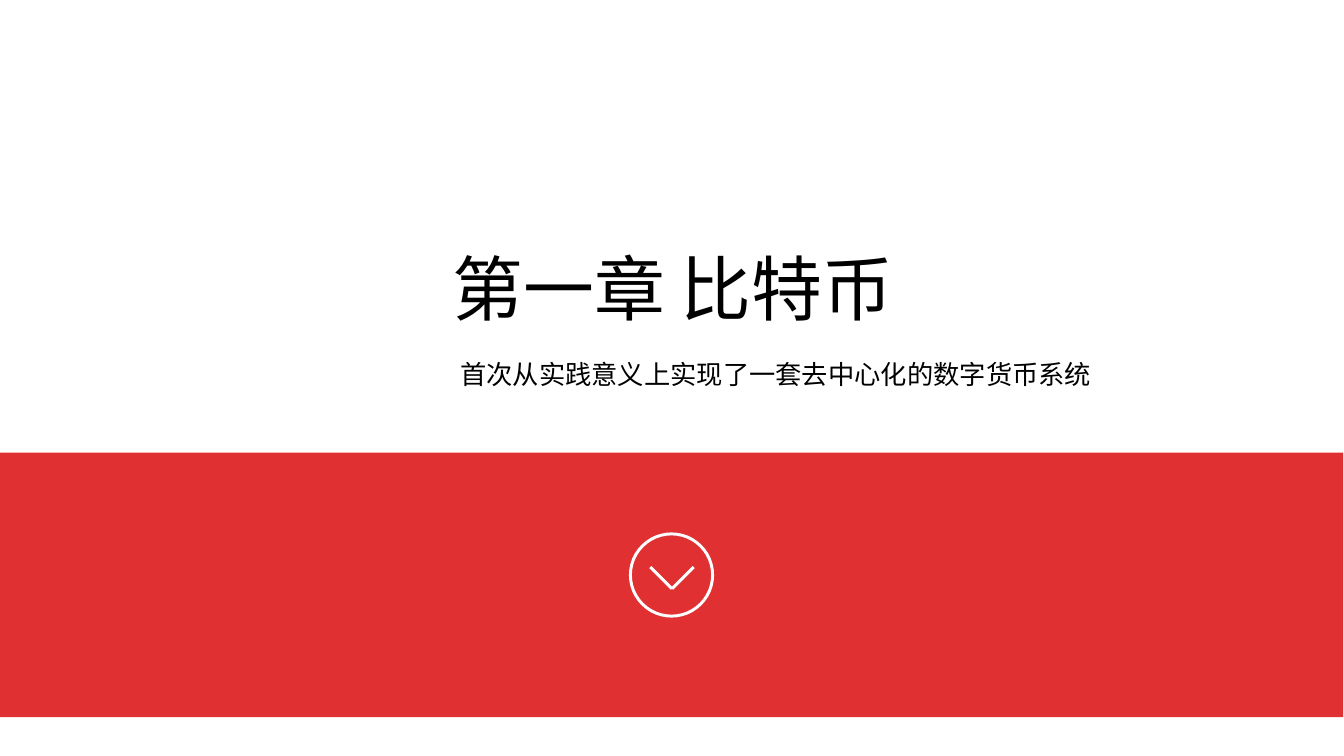
from itertools import pairwise

from lxml.etree import SubElement
from pptx import Presentation
from pptx.dml.color import RGBColor
from pptx.enum.shapes import MSO_CONNECTOR, MSO_SHAPE
from pptx.enum.text import MSO_AUTO_SIZE, PP_ALIGN
from pptx.oxml.ns import qn
from pptx.util import Inches, Pt

# Content: text, box (left, top, width, height), style
TEXTS = [
    ("第一章 比特币", (4.56, 1.64, 5.12, 1.92), "title"),
    ("首次从实践意义上实现了一套去中心化的数字货币系统", (4.77, 3.41, 7.01, 0.77), "subtitle"),
]
BAND = (-0.01, 4.79, 14.22, 2.8)
CIRCLE = (6.67, 5.65, 0.87, 0.87)
CHEVRON = [(6.88, 6), (7.11, 6.23), (7.34, 6)]

THEME = {
    "font": "Noto Sans CJK SC",
    "text": RGBColor.from_string("000000"),
    "band": RGBColor.from_string("E03031"),
    "icon": RGBColor.from_string("FFFFFF"),
    "icon_width": Pt(2.25),
    "title": {"size": Pt(54), "align": PP_ALIGN.CENTER},
    "subtitle": {"size": Pt(20), "align": PP_ALIGN.LEFT},
}


def inches(values):
    return [Inches(v) for v in values]


def set_attrs(target, values):
    for name, value in values.items():
        setattr(target, name, value)


def add_text(s, text, box, style):
    tf = s.shapes.add_textbox(*inches(box)).text_frame
    set_attrs(tf, {"word_wrap": False, "auto_size": MSO_AUTO_SIZE.SHAPE_TO_FIT_TEXT})
    p = tf.paragraphs[0]
    set_attrs(p, {"alignment": THEME[style]["align"], "line_spacing": 2.0})
    r = p.add_run()
    r.text = text
    set_attrs(r.font, {"name": THEME["font"], "size": THEME[style]["size"]})
    r.font.color.rgb = THEME["text"]
    # East Asian typeface
    SubElement(r.font._element, qn("a:ea")).set("typeface", THEME["font"])


def style_icon_line(line):
    line.color.rgb = THEME["icon"]
    line.width = THEME["icon_width"]


prs = Presentation()
set_attrs(prs, {"slide_width": Inches(14.22), "slide_height": Inches(8)})
s = prs.slides.add_slide(prs.slide_layouts[6])

# Red band
band = s.shapes.add_shape(MSO_SHAPE.RECTANGLE, *inches(BAND))
band.shadow.inherit = False
band.fill.solid()
band.fill.fore_color.rgb = THEME["band"]
band.line.fill.background()

# Chapter title and subtitle
for text, box, style in TEXTS:
    add_text(s, text, box, style)

# Circle with a down chevron
circle = s.shapes.add_shape(MSO_SHAPE.OVAL, *inches(CIRCLE))
circle.shadow.inherit = False
circle.fill.background()
style_icon_line(circle.line)
for start, end in pairwise(CHEVRON):
    stroke = s.shapes.add_connector(MSO_CONNECTOR.STRAIGHT, *inches(start + end))
    style_icon_line(stroke.line)
    SubElement(stroke._element.spPr, qn("a:effectLst"))

prs.save("out.pptx")
